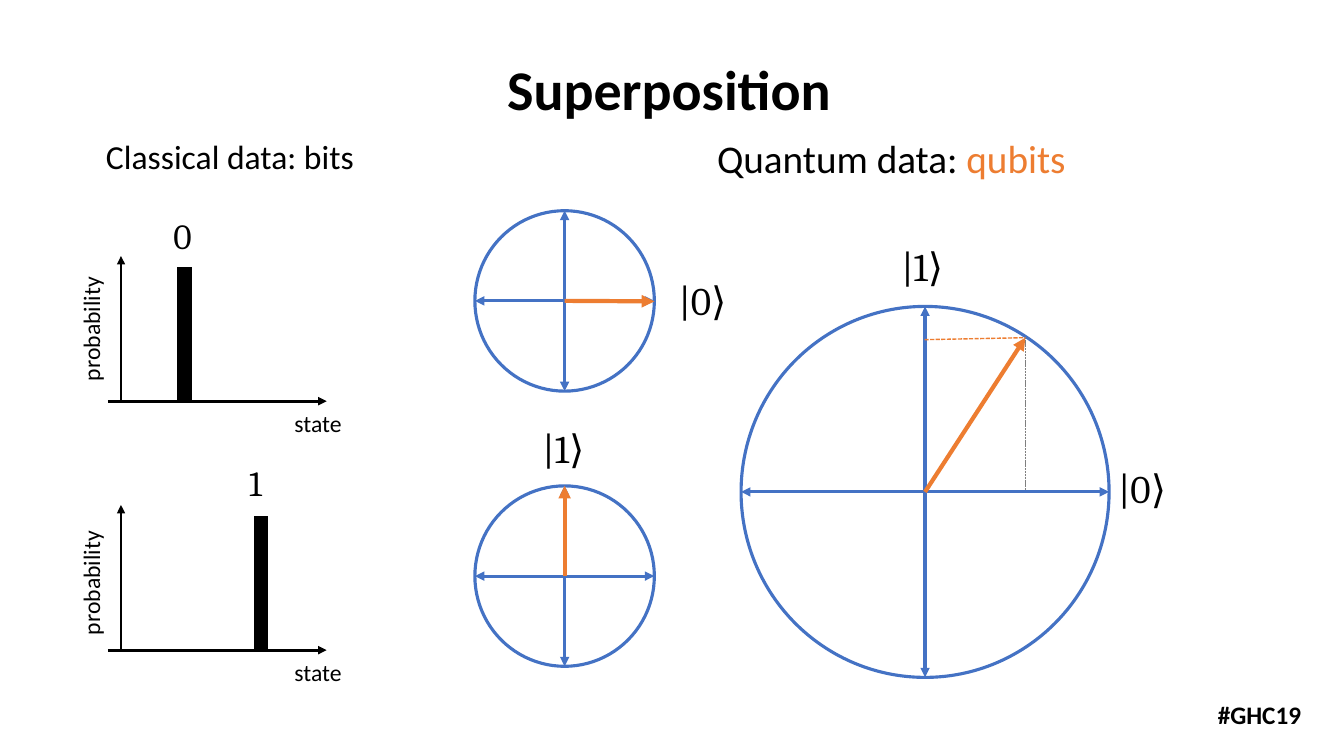
from lxml.etree import SubElement as Sub
from pptx import Presentation
from pptx.dml.color import RGBColor
from pptx.enum.dml import MSO_LINE as Dash
from pptx.enum.shapes import MSO_CONNECTOR as Conn, MSO_SHAPE as Shape
from pptx.enum.text import MSO_AUTO_SIZE as Fit, PP_ALIGN as Align
from pptx.oxml.ns import qn
from pptx.util import Inches, Pt

BLACK, WHITE, BLUE, ORANGE, GREY = "000000", "FFFFFF", "4472C4", "ED7D31", "7F7F7F"
INSET = {"margin_left": Inches(0.14), "margin_right": Inches(0.14),
         "margin_top": Inches(0.11), "margin_bottom": Inches(0.11)}
SPACE = {"line_spacing": 0.9, "space_after": Pt(4.3)}


def paint(color, code):
    """Set a colour from a hex string."""
    color.rgb = RGBColor.from_string(code)


def apply(item, values):
    """Set each named attribute of an item."""
    for name, value in values.items():
        setattr(item, name, value)


def text(slide, box, runs, size, align=Align.LEFT, bold=False,
         tight=True, wrap=True, turn=0):
    """Add a text box of (words, font, colour) runs."""
    shape = slide.shapes.add_textbox(*map(Inches, box))
    shape.rotation = turn
    frame = shape.text_frame
    apply(frame, {"word_wrap": wrap, "auto_size": Fit.SHAPE_TO_FIT_TEXT})
    para = frame.paragraphs[0]
    para.alignment = align
    if tight:
        apply(frame, INSET)
        apply(para, SPACE)
    for words, face, code in runs:
        run = para.add_run()
        run.text = words
        apply(run.font, {"name": face, "size": Pt(size), "bold": bold})
        paint(run.font.color, code)


def line(slide, start, end, code, width, head=False, tail=False, dash=None):
    """Add a straight line with optional arrowheads."""
    link = slide.shapes.add_connector(Conn.STRAIGHT, *map(Inches, (*start, *end)))
    paint(link.line.color, code)
    apply(link.line, {"width": Pt(width), "dash_style": dash})
    for tag, shown in (("a:headEnd", head), ("a:tailEnd", tail)):
        if shown:
            Sub(link.line._ln, qn(tag)).set("type", "triangle")
    Sub(link._element.spPr, qn("a:effectLst"))


def ket(slide, digit, left, top, width):
    """Add a ket label."""
    runs = [("|" + digit, "Cambria", BLACK), ("⟩", "Calibri", BLACK)]
    text(slide, (left, top, width, 0.66), runs, 28)


def circle(slide, left, top, width, height, tip):
    """Add a state circle with two axes and a state vector."""
    oval = slide.shapes.add_shape(
        Shape.OVAL, *map(Inches, (left, top, width, height)))
    oval.shadow.inherit = False
    oval.fill.solid()
    paint(oval.fill.fore_color, WHITE)
    paint(oval.line.color, BLUE)
    oval.line.width = Pt(2.25)
    mid_x, mid_y = left + width / 2, top + height / 2
    line(slide, (left, mid_y), (left + width, mid_y), BLUE, 2.25, True, True)
    line(slide, (mid_x, top), (mid_x, top + height), BLUE, 2.25, True, True)
    line(slide, (mid_x, mid_y), tip, ORANGE, 3, tail=True)


def plot(slide, base, digit, bar, label, side):
    """Add a probability plot with one bar."""
    text(slide, (2.69, base, 0.93, 0.49), [("state", "Calibri", BLACK)],
         16.9, Align.CENTER)
    text(slide, (0.24, side, 1.37, 0.49), [("probability", "Calibri", BLACK)],
         16.9, Align.CENTER, turn=270)
    line(slide, (1.07, base), (3.24, base), BLACK, 2, tail=True)
    line(slide, (1.2, base), (1.2, base - 1.44), BLACK, 2, tail=True)
    text(slide, (*label, 0.47, 0.62), [(digit, "Cambria", BLACK)], 25.3)
    line(slide, (bar, base - 1.33), (bar, base), BLACK, 10.25)


def main():
    """Build the slide and save it."""
    deck = Presentation()
    apply(deck, {"slide_width": Inches(13.33), "slide_height": Inches(7.5)})
    slide = deck.slides.add_slide(deck.slide_layouts[6])

    text(slide, (0.67, 0.49, 11.93, 0.77), [("Superposition", "Calibri", BLACK)],
         40, Align.CENTER, bold=True, tight=False)
    text(slide, (0.67, 1.28, 3.22, 0.6),
         [("Classical data: bits", "Calibri", BLACK)], 24, Align.CENTER)
    text(slide, (6.94, 1.28, 3.8, 0.66),
         [("Quantum data: ", "Calibri", BLACK), ("qubits", "Calibri", ORANGE)],
         28, Align.CENTER)
    text(slide, (11.98, 6.89, 1.04, 0.4), [("#GHC19", "Calibri", BLACK)],
         18, bold=True, tight=False, wrap=False)

    circle(slide, 4.71, 2.09, 1.78, 1.79, (6.49, 2.99))
    circle(slide, 4.71, 4.82, 1.78, 1.79, (5.6, 4.82))
    circle(slide, 7.35, 3.04, 3.65, 3.68, (10.17, 3.35))
    for label in (("0", 6.59, 2.68, 0.89), ("1", 5.24, 4.15, 0.82),
                  ("1", 8.8, 2.35, 0.84), ("0", 10.95, 4.55, 1.04)):
        ket(slide, *label)

    plot(slide, 3.98, "0", 1.83, (1.58, 2.06), 3.02)
    plot(slide, 6.45, "1", 2.59, (2.33, 4.51), 5.54)

    line(slide, (10.17, 3.34), (10.17, 4.86), GREY, 0.5, dash=Dash.SQUARE_DOT)
    line(slide, (9.17, 3.37), (10.17, 3.35), ORANGE, 1, dash=Dash.SQUARE_DOT)
    deck.save("out.pptx")


if __name__ == "__main__":
    main()
